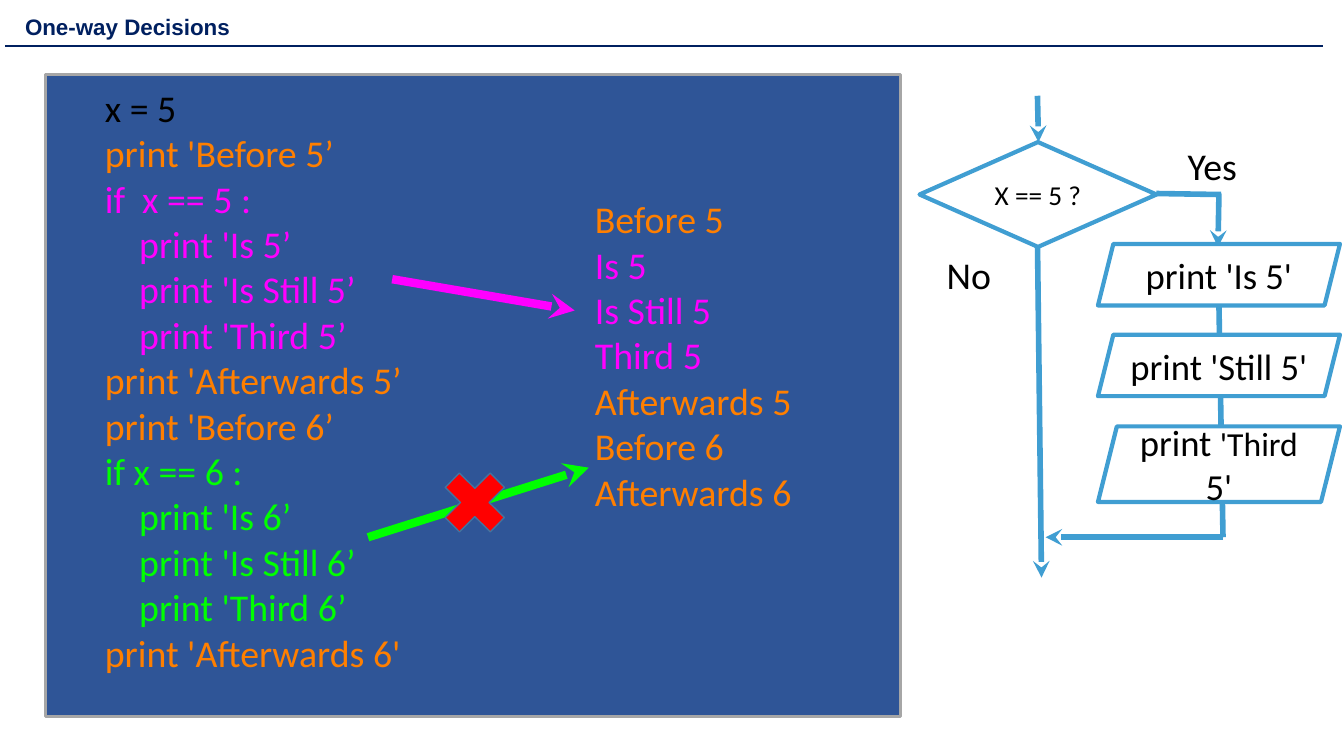
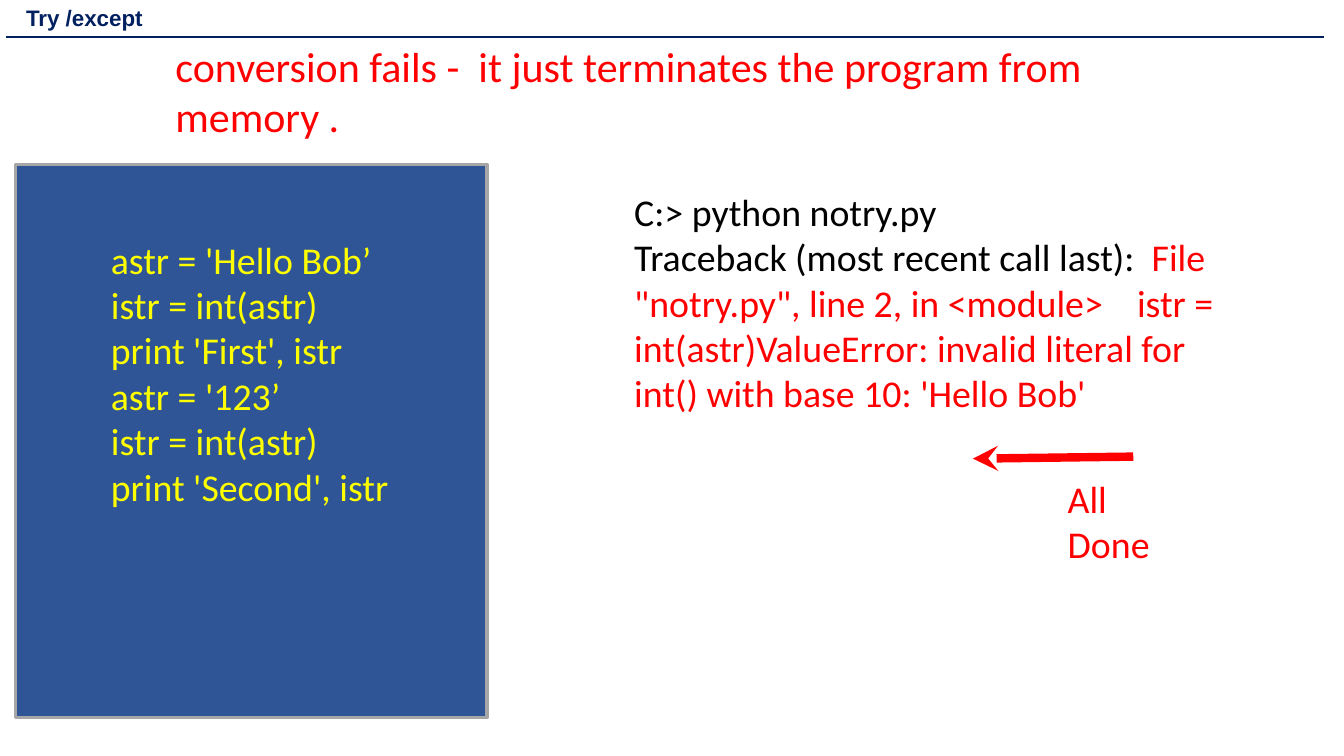
from lxml.etree import SubElement
from pptx import Presentation
from pptx.dml.color import RGBColor
from pptx.enum.shapes import MSO_CONNECTOR, MSO_SHAPE
from pptx.enum.text import MSO_ANCHOR, MSO_AUTO_SIZE, PP_ALIGN
from pptx.oxml.ns import qn
from pptx.util import Inches, Pt

NAVY, PANEL_BLUE, FLOW_BLUE, GREY = "002060", "2F5597", "409ED2", "A6A6A6"
BLACK, WHITE, RED, YELLOW = "000000", "FFFFFF", "FF0000", "FFFF00"
ORANGE, MAGENTA, GREEN = "FF7F00", "FF00FF", "00FF00"
colour = RGBColor.from_string
CODE_SIZE, FLOW_SIZE = 27, 26.2
INDENT = Inches(0.34)


def add_box(slide, kind, place, lines=(), size=CODE_SIZE, fill=None, border=None,
            width=0, wrap=True, align=PP_ALIGN.LEFT):
    """Add a preset shape, or a text box if kind is None.

    Each line is a list of (text, colour) or (text, colour, size) runs.
    Four leading spaces in a line become one indent step.
    """
    left, top, box_width, box_height = [Inches(value) for value in place]
    if kind is None:
        shape = slide.shapes.add_textbox(left, top, box_width, box_height)
    else:
        shape = slide.shapes.add_shape(kind, left, top, box_width, box_height)
        shape.shadow.inherit = False
        shape.fill.solid()
        shape.fill.fore_color.rgb = colour(fill)
        if border:
            shape.line.color.rgb = colour(border)
            shape.line.width = Pt(width)
        else:
            shape.line.fill.background()
    frame = shape.text_frame
    frame.margin_left = frame.margin_right = frame.margin_top = frame.margin_bottom = 0
    frame.vertical_anchor = MSO_ANCHOR.MIDDLE
    frame.word_wrap = wrap
    if not wrap:
        frame.auto_size = MSO_AUTO_SIZE.SHAPE_TO_FIT_TEXT
    for number, runs in enumerate(lines):
        paragraph = frame.paragraphs[0] if number == 0 else frame.add_paragraph()
        paragraph.alignment = align
        first_text = runs[0][0]
        steps = (len(first_text) - len(first_text.lstrip())) // 4
        if steps:
            paragraph._p.get_or_add_pPr().set("marL", str(steps * INDENT))
        for position, (text, text_colour, *own_size) in enumerate(runs):
            run = paragraph.add_run()
            run.text = text.lstrip() if position == 0 else text
            run.font.name = "Calibri"
            run.font.size = Pt(own_size[0] if own_size else size)
            run.font.color.rgb = colour(text_colour)
    return shape


def add_line(slide, start, end, line_colour, width, arrow=False):
    """Draw a straight line, with a stealth arrowhead at its end if asked."""
    points = [Inches(value) for value in (*start, *end)]
    connector = slide.shapes.add_connector(MSO_CONNECTOR.STRAIGHT, *points)
    connector.line.color.rgb = colour(line_colour)
    connector.line.width = Pt(width)
    properties = connector._element.spPr
    if arrow:
        SubElement(properties.find(qn("a:ln")), qn("a:tailEnd"), type="stealth")
    SubElement(properties, qn("a:effectLst"))


presentation = Presentation()
presentation.slide_width = Inches(13.33)
presentation.slide_height = Inches(7.5)

# Shared frame: code panel, title band and rule
frames = [
    ("One-way Decisions", 0.15, 0.1, (0.45, 0.74, 8.48, 6.37)),
    ("Try /except", 0.16, 0.01, (0.15, 1.63, 4.68, 5.49)),
]
slides = []
for title, left, top, panel in frames:
    slide = presentation.slides.add_slide(presentation.slide_layouts[6])
    add_box(slide, MSO_SHAPE.RECTANGLE, panel, fill=PANEL_BLUE, border=GREY, width=2.25)
    band = add_box(slide, MSO_SHAPE.RECTANGLE, (left, top, 9.04, 0.35),
                   [[(title, NAVY)]], 16, fill=WHITE)
    band_frame = band.text_frame
    band_frame.margin_left = band_frame.margin_right = Inches(0.1)
    band_frame.margin_top = band_frame.margin_bottom = Inches(0.05)
    band_frame.vertical_anchor = MSO_ANCHOR.BOTTOM
    heading = band_frame.paragraphs[0]
    heading.line_spacing = 0.9
    heading.runs[0].font.name = "Arial"
    heading.runs[0].font.bold = True
    rule_top = top + 0.36
    add_line(slide, (left - 0.1, rule_top), (left + 12.97, rule_top), NAVY, 1.5)
    slides.append(slide)
decisions, exceptions = slides

# One-way decisions: code and its output
code = [
    ("x = 5", BLACK),
    ("print 'Before 5’", ORANGE),
    ("if  x == 5 :", MAGENTA),
    ("    print 'Is 5’", MAGENTA),
    ("    print 'Is Still 5’", MAGENTA),
    ("    print 'Third 5’", MAGENTA),
    ("print 'Afterwards 5’", ORANGE),
    ("print 'Before 6’", ORANGE),
    ("if x == 6 :", GREEN),
    ("    print 'Is 6’", GREEN),
    ("    print 'Is Still 6’", GREEN),
    ("    print 'Third 6’", GREEN),
    ("print 'Afterwards 6'", ORANGE),
]
output = [
    ("Before 5", ORANGE),
    ("Is 5", MAGENTA),
    ("Is Still 5", MAGENTA),
    ("Third 5", MAGENTA),
    ("Afterwards 5", ORANGE),
    ("Before 6", ORANGE),
    ("Afterwards 6", ORANGE),
]
add_box(decisions, None, (1.04, 0.81, 2.98, 5.91), [[line] for line in code], wrap=False)
add_box(decisions, None, (5.9, 1.93, 1.97, 3.18), [[line] for line in output], wrap=False)
add_line(decisions, (3.89, 2.77), (5.7, 3.08), MAGENTA, 6, arrow=True)
add_line(decisions, (3.65, 5.33), (5.84, 4.64), GREEN, 6, arrow=True)
add_box(decisions, MSO_SHAPE.MATH_MULTIPLY, (4.28, 4.56, 0.86, 0.85),
        fill=RED, border="43739E", width=1)

# One-way decisions: flowchart, lines below the steps
flow_lines = [
    ((10.29, 0.95), (10.3, 1.41), True),
    ((10.29, 2.4), (10.33, 5.73), True),
    ((11.47, 1.92), (12.11, 1.93), False),
    ((12.09, 1.92), (12.08, 2.45), True),
    ((12.09, 3.03), (12.13, 5.33), False),
    ((12.13, 5.33), (10.37, 5.33), True),
]
for start, end, arrow in flow_lines:
    add_line(decisions, start, end, FLOW_BLUE, 4, arrow)

flow_steps = [
    (MSO_SHAPE.DIAMOND, (9.12, 1.41, 2.35, 1.04), [("X == 5 ?", BLACK, 19.5)]),
    (MSO_SHAPE.PARALLELOGRAM, (10.89, 2.42, 2.4, 0.61), [("print 'Is 5'", BLACK)]),
    (MSO_SHAPE.PARALLELOGRAM, (10.89, 3.32, 2.4, 0.61), [("print 'Still 5'", BLACK)]),
    (MSO_SHAPE.PARALLELOGRAM, (10.89, 4.23, 2.4, 0.75),
     [("print ", BLACK), ("'Third", BLACK, 24), (" 5'", BLACK)]),
]
for kind, place, runs in flow_steps:
    add_box(decisions, kind, place, [runs], FLOW_SIZE, WHITE, FLOW_BLUE, 3,
            align=PP_ALIGN.CENTER)
for answer, place in [("Yes", (11.78, 1.42, 0.49, 0.45)), ("No", (9.39, 2.5, 0.44, 0.45))]:
    add_box(decisions, None, place, [[(answer, BLACK)]], wrap=False)

# Try / except: failing program and its traceback
program = ["astr = 'Hello Bob’", "istr = int(astr)", "print 'First', istr",
           "astr = '123’", "istr = int(astr)", "print 'Second', istr"]
add_box(exceptions, None, (1.1, 2.33, 2.77, 2.73),
        [[(line, YELLOW)] for line in program], wrap=False)
traceback = [
    [("C:> python notry.py", BLACK)],
    [("Traceback (most recent call last):", BLACK),
     ("  File \"notry.py\", line 2, in <module>    istr = int(astr)"
      "ValueError: invalid literal for int() with base 10: 'Hello Bob'", RED)],
]
add_box(exceptions, None, (6.29, 1.67, 5.95, 2.65), traceback)
add_line(exceptions, (11.24, 4.53), (9.65, 4.55), RED, 6, arrow=True)
add_box(exceptions, None, (10.59, 4.7, 1.56, 0.94), [[("All", RED)], [("Done", RED)]])
add_box(exceptions, None, (1.74, 0.27, 10.49, 1.26),
        [[("conversion fails -  it just terminates the program from memory .", RED)]], 30)

presentation.save("out.pptx")
